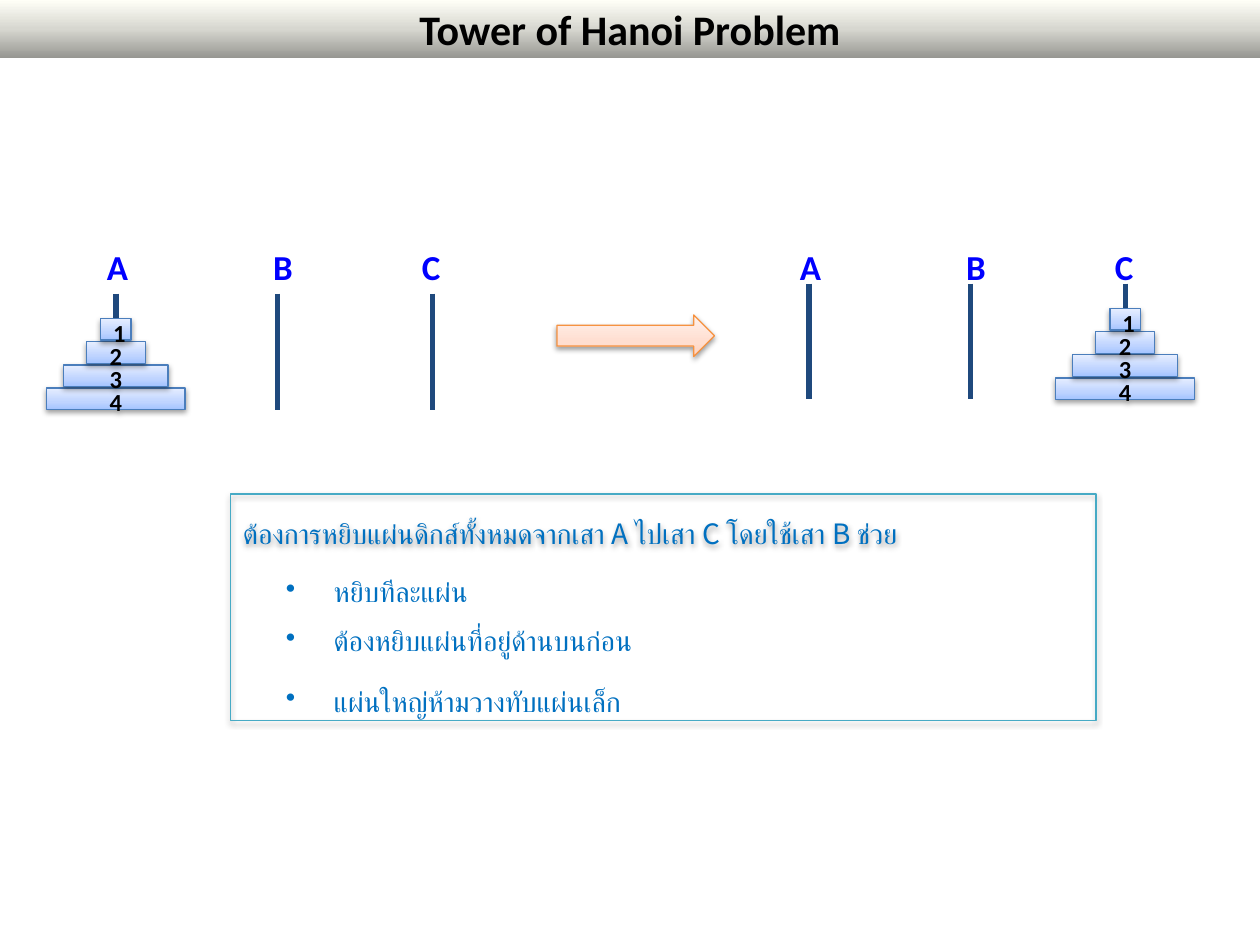
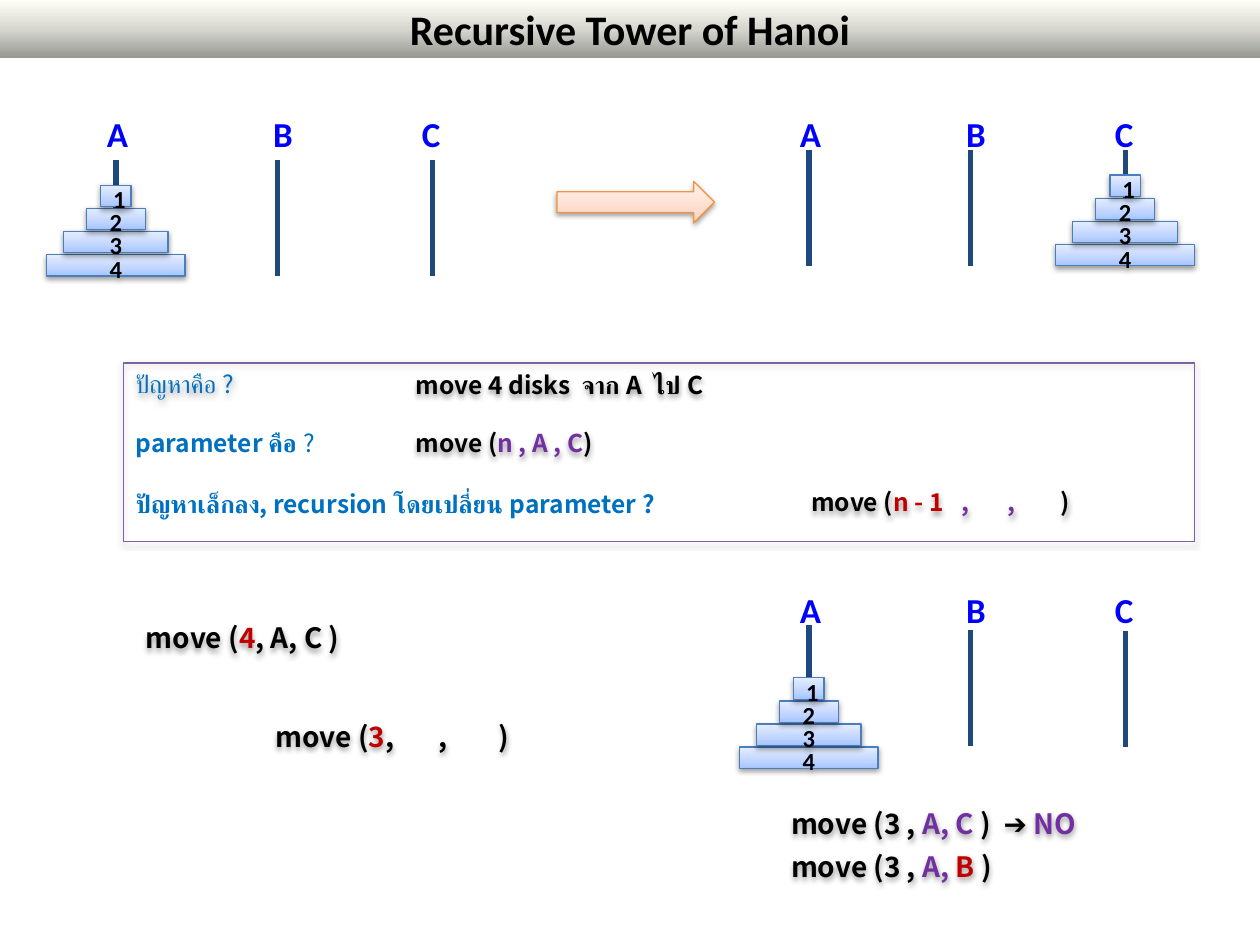
from lxml import etree
from pptx import Presentation
from pptx.dml.color import RGBColor
from pptx.enum.shapes import MSO_CONNECTOR, MSO_SHAPE
from pptx.enum.text import MSO_ANCHOR, PP_ALIGN
from pptx.oxml.ns import qn
from pptx.util import Inches, Pt

RECT, ARROW = MSO_SHAPE.RECTANGLE, MSO_SHAPE.RIGHT_ARROW
STRAIGHT = MSO_CONNECTOR.STRAIGHT
TOP, MIDDLE = MSO_ANCHOR.TOP, MSO_ANCHOR.MIDDLE
CENTER, LEFT = PP_ALIGN.CENTER, PP_ALIGN.LEFT

COLORS = {
    "black": "000000", "label": "0000FF", "peg": "1F497D", "blue": "0070C0",
    "purple": "7030A0", "red": "C00000", "disk_line": "4B7EBC",
    "arrow_line": "F69240", "rules_line": "46AAC5", "problem_line": "7D60A0",
}
# Gradients run from bottom to top: (percent, colour)
GRADIENTS = {
    "title": [(0, "979792"), (50, "D7D7D0"), (100, "FFFFF7")],
    "disk": [(0, "A4C4FF"), (35, "BFD4FF"), (100, "E6EEFF")],
    "arrow": [(0, "FFD2BD"), (35, "FFDED0"), (100, "FFF2ED")],
}
HEAD_FONT, BODY_FONT = "Calibri", "Noto Sans CJK JP"

PEG_OFFSETS = (0, 1.28, 2.51)
PEG_HEIGHT = 0.92
LABEL_TABS = (1.32, 2.5)
DISK_WIDTHS = (0.24, 0.47, 0.83, 1.1)
DISK_HEIGHT, DISK_STEP = 0.17, 0.55 / 3
LEFT_PEGS, RIGHT_PEGS = 0.92, 6.42

GOAL = "ต้องการหยิบแผ่นดิกส์ทั้งหมดจากเสา A ไปเสา C โดยใช้เสา B ช่วย"
RULES = [
    (4.38, "หยิบทีละแผ่น"),
    (4.77, "ต้องหยิบแผ่นที่อยู่ด้านบนก่อน"),
    (5.25, "แผ่นใหญ่ห้ามวางทับแผ่นเล็ก"),
]
PROBLEM = "ปัญหาคือ ?"
# (left, top, width, [(text, colour)])
QUESTIONS = [
    (0.98, 3.35, 2.05, [("parameter คือ ", "blue"), ("?", "blue")]),
    (0.98, 3.83, 5.35, [("ปัญหาเล็กลง, recursion โดยเปลี่ยน parameter ?", "blue")]),
]
# (left, top, width, size, tab stops, [(text, colour)])
CALLS = [
    (3.2, 2.89, 3.31, 14, (), [("move 4 disks  จาก A  ไป C", "black")]),
    (3.2, 3.35, 2.13, 14, (), [("move (", "black"), ("n , A , C", "purple"), (")", "black")]),
    (6.34, 3.82, 3.23, 14, (1.19, 1.56, 1.98),
     [("move (", "black"), ("n - 1", "red"), ("\t,\t,\t", "purple"), (")", "black")]),
    (1.06, 4.88, 3.23, 16, (), [("move (", "black"), ("4", "red"), (", A, C )", "black")]),
    (2.09, 5.66, 2.76, 16, (1.29, 1.77),
     [("move (", "black"), ("3", "red"), (",\t,\t)", "black")]),
    (6.18, 6.35, 3.07, 16, (),
     [("move (3 , ", "black"), ("A, C ", "purple"), (")  ➔ ", "black"), ("NO", "purple")]),
    (6.18, 6.69, 3.07, 16, (),
     [("move (3 , ", "black"), ("A, ", "purple"), ("B ", "red"), (")", "black")]),
]


def rgb(name):
    return RGBColor.from_string(COLORS[name])


def add_node(parent, tag, **attributes):
    node = etree.SubElement(parent, qn(tag))
    for key, value in attributes.items():
        node.set(key, str(value))
    return node


def add_color(parent, value):
    return add_node(parent, "a:srgbClr", val=value)


def cast_shadow(shape):
    shape.shadow.inherit = False
    effects = shape._element.spPr.find(qn("a:effectLst"))
    shadow = add_node(effects, "a:outerShdw", blurRad=40000, dist=20000,
                      dir=5400000, rotWithShape=0)
    add_node(add_color(shadow, COLORS["black"]), "a:alpha", val=38000)


def fill_gradient(shape, stops):
    shape.fill.background()
    properties = shape._element.spPr
    gradient = etree.Element(qn("a:gradFill"), rotWithShape="1")
    stop_list = add_node(gradient, "a:gsLst")
    for percent, color in stops:
        add_color(add_node(stop_list, "a:gs", pos=percent * 1000), color)
    add_node(gradient, "a:lin", ang=16200000, scaled=0)
    properties.replace(properties.find(qn("a:noFill")), gradient)


def write(shape, spans, size, font=BODY_FONT, bold=False, align=LEFT, anchor=TOP):
    frame = shape.text_frame
    frame.word_wrap = True
    frame.vertical_anchor = anchor
    para = frame.paragraphs[0]
    para.alignment = align
    para.font.size, para.font.name, para.font.bold = Pt(size), font, bold
    for text, color in spans:
        span = para.add_run()
        span.text = text
        span.font.color.rgb = rgb(color)
    return para


def set_tabs(para, stops):
    tabs = add_node(para._p.get_or_add_pPr(), "a:tabLst")
    para._p.pPr.insert(0, tabs)
    for stop in stops:
        add_node(tabs, "a:tab", pos=Inches(stop), algn="l")


def add_bullet(para):
    properties = para._p.get_or_add_pPr()
    properties.set("marL", str(Inches(0.38)))
    properties.set("indent", str(-Inches(0.38)))
    bullet = etree.Element(qn("a:buChar"), char="•")
    properties.find(qn("a:defRPr")).addprevious(bullet)


def add_text(page, left, top, width, height):
    return page.shapes.add_textbox(*map(Inches, (left, top, width, height)))


def add_panel(page, kind, place, line=None, gradient=None):
    """Add a preset shape with gradient or no fill, a thin line and a shadow."""
    shape = page.shapes.add_shape(kind, *map(Inches, place))
    if gradient:
        fill_gradient(shape, GRADIENTS[gradient])
    else:
        shape.fill.background()
    if line:
        shape.line.color.rgb = rgb(line)
        shape.line.width = Pt(0.75)
        cast_shadow(shape)
    else:
        shape.line.fill.background()
        shape.shadow.inherit = False
    return shape


def draw_pegs(page, left, label_top, peg_tops):
    labels = add_text(page, left - 0.17, label_top, 3.17, 0.43)
    para = write(labels, [("A\tB\tC", "label")], 20, HEAD_FONT, bold=True)
    set_tabs(para, LABEL_TABS)
    for offset, top in zip(PEG_OFFSETS, peg_tops):
        x = Inches(left + offset)
        peg = page.shapes.add_connector(STRAIGHT, x, Inches(top), x, Inches(top + PEG_HEIGHT))
        peg.line.color.rgb = rgb("peg")
        peg.line.width = Pt(3)
        add_node(peg._element.spPr, "a:effectLst")


def draw_disks(page, center, bottom):
    count = len(DISK_WIDTHS)
    for number in range(count, 0, -1):
        width = DISK_WIDTHS[number - 1]
        top = bottom - DISK_HEIGHT - (count - number) * DISK_STEP
        place = (center - width / 2, top, width, DISK_HEIGHT)
        disk = add_panel(page, RECT, place, "disk_line", "disk")
        write(disk, [(str(number), "black")], 14, HEAD_FONT, True, CENTER, MIDDLE)
        disk.text_frame.margin_bottom = 0


def draw_goal(page, top):
    """Draw the start towers, an arrow and the finished towers."""
    start, finish = top + 0.43, top + 0.35
    draw_pegs(page, LEFT_PEGS, top, [start] * 3)
    draw_pegs(page, RIGHT_PEGS, top, [finish] * 3)
    draw_disks(page, LEFT_PEGS, start + PEG_HEIGHT)
    draw_disks(page, RIGHT_PEGS + PEG_OFFSETS[-1], finish + PEG_HEIGHT)
    add_panel(page, ARROW, (4.42, top + 0.6, 1.25, 0.33), "arrow_line", "arrow")


def add_page(deck, title):
    page = deck.slides.add_slide(deck.slide_layouts[6])
    band = add_panel(page, RECT, (0, 0, 10, 0.46), gradient="title")
    write(band, [(title, "black")], 24, HEAD_FONT, True, CENTER, MIDDLE)
    return page


def build_problem(deck):
    page = add_page(deck, "Tower of Hanoi Problem")
    draw_goal(page, 1.9)
    box = add_panel(page, RECT, (1.83, 3.92, 6.87, 1.8), "rules_line")
    write(box, [(GOAL, "blue")], 16).line_spacing = 1.5
    for top, rule in RULES:
        para = write(add_text(page, 2.17, top, 4.96, 0.5), [(rule, "blue")], 16)
        para.line_spacing = 1.5
        add_bullet(para)


def build_recursion(deck):
    page = add_page(deck, "Recursive Tower of Hanoi")
    draw_goal(page, 0.84)
    box = add_panel(page, RECT, (0.98, 2.88, 8.5, 1.42), "problem_line")
    write(box, [(PROBLEM, "blue")], 14)
    for left, top, width, spans in QUESTIONS:
        para = write(add_text(page, left, top, width, 0.43), spans, 14, bold=True)
        if len(spans) > 1:
            para.runs[-1].font.bold = False
    for left, top, width, size, tabs, spans in CALLS:
        call = add_text(page, left, top, width, 0.37)
        para = write(call, spans, size, bold=True)
        cast_shadow(call)
        if tabs:
            set_tabs(para, tabs)
    draw_pegs(page, RIGHT_PEGS, 4.62, (4.96, 5, 5.01))
    draw_disks(page, RIGHT_PEGS, 6.1)


def main():
    deck = Presentation()
    deck.slide_width, deck.slide_height = Inches(10), Inches(7.5)
    build_problem(deck)
    build_recursion(deck)
    deck.save("out.pptx")


if __name__ == "__main__":
    main()
